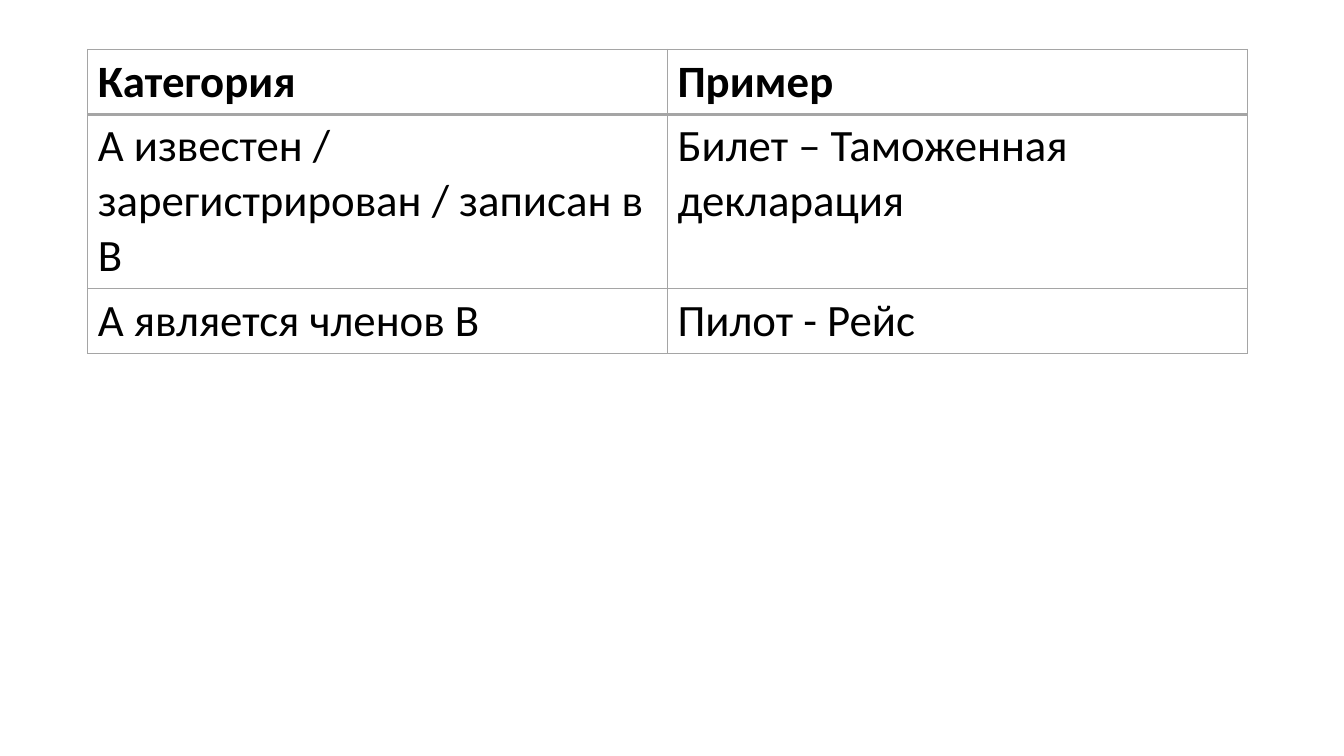
from pptx import Presentation
from pptx.dml.color import RGBColor
from pptx.oxml import parse_xml
from pptx.oxml.ns import nsdecls
from pptx.util import Inches, Pt

SLIDE_WIDTH, SLIDE_HEIGHT = Inches(13.33), Inches(7.5)
LEFT, TOP = Inches(0.87), Inches(0.49)
COLUMN_WIDTH = Inches(5.75)
LINE_HEIGHT, CELL_PADDING = 0.54, 0.1
LINES_PER_ROW = [1, 3, 1]
RELATIONS = [
    ("Категория", "Пример"),
    ("А известен / зарегистрирован / записан в В", "Билет – Таможенная декларация"),
    ("А является членов В", "Пилот - Рейс"),
]


def color(value):
    return RGBColor.from_string(value)


def add_border(cell, side, width, value):
    properties = cell._tc.get_or_add_tcPr()
    properties.append(parse_xml(
        f'<a:{side} {nsdecls("a")} w="{Pt(width)}"><a:solidFill>'
        f'<a:srgbClr val="{value}"/></a:solidFill></a:{side}>'))


def fill_cell(cell, wording, is_header, below_header):
    widths = {"lnL": 1, "lnR": 1, "lnT": 2 if below_header else 1, "lnB": 2 if is_header else 1}
    for side, width in widths.items():
        add_border(cell, side, width, "A5A5A5")
    cell.fill.background()
    cell.text_frame.text = wording
    font = cell.text_frame.paragraphs[0].runs[0].font
    font.name, font.size, font.bold = "Calibri", Pt(32), is_header
    font.color.rgb = color("000000")


def add_relations_table(slide):
    heights = [Inches(lines * LINE_HEIGHT + CELL_PADDING) for lines in LINES_PER_ROW]
    columns = len(RELATIONS[0])
    table = slide.shapes.add_table(
        len(RELATIONS), columns, LEFT, TOP, COLUMN_WIDTH * columns, sum(heights)).table
    table.horz_banding = False
    for row, (height, relation) in enumerate(zip(heights, RELATIONS)):
        table.rows[row].height = height
        for column, wording in enumerate(relation):
            fill_cell(table.cell(row, column), wording, row == 0, row == 1)


def main():
    presentation = Presentation()
    presentation.slide_width, presentation.slide_height = SLIDE_WIDTH, SLIDE_HEIGHT
    slide = presentation.slides.add_slide(presentation.slide_layouts[6])
    add_relations_table(slide)
    presentation.save("out.pptx")


if __name__ == "__main__":
    main()
